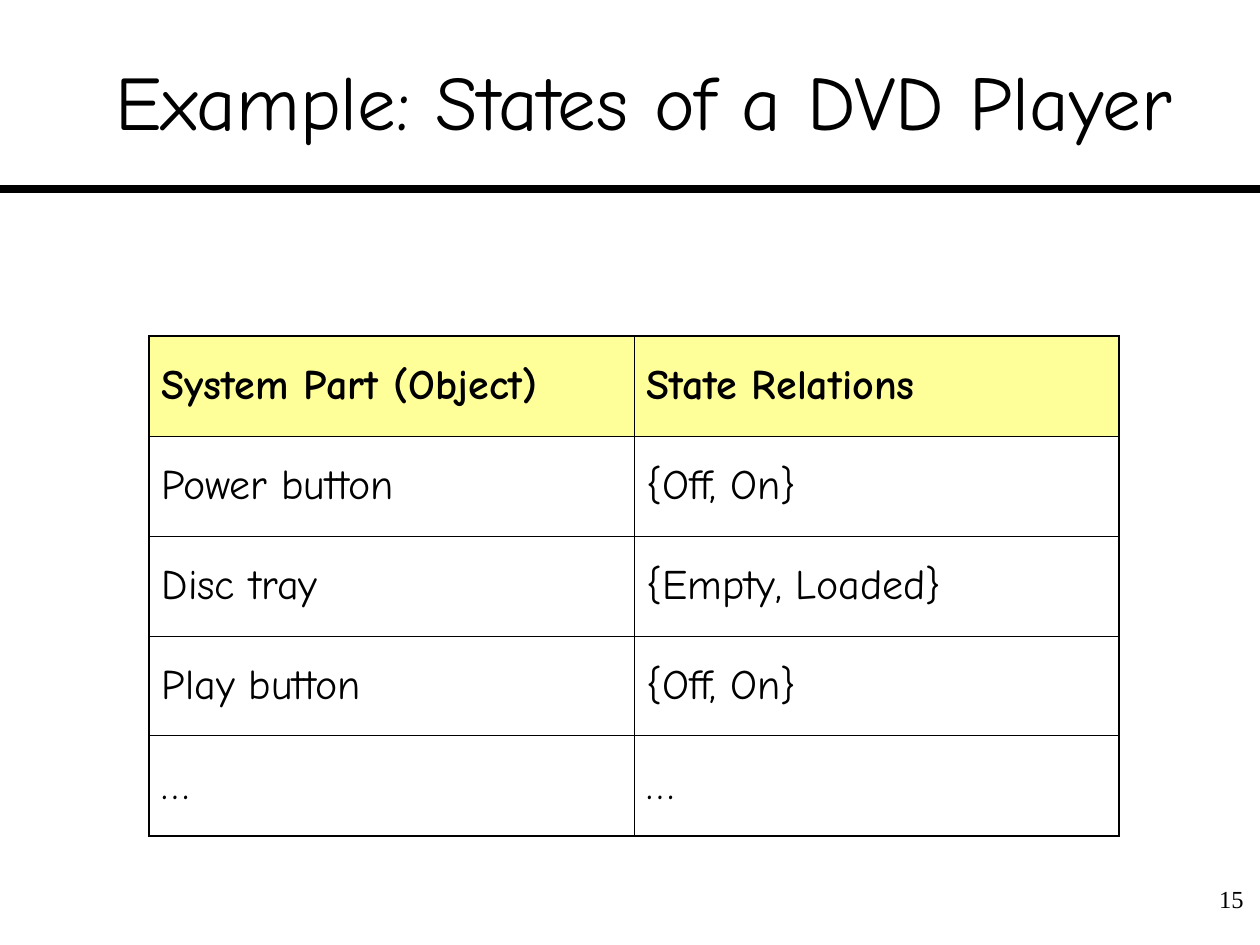
from lxml.etree import SubElement
from pptx import Presentation
from pptx.dml.color import RGBColor
from pptx.enum.shapes import MSO_CONNECTOR
from pptx.enum.text import MSO_ANCHOR, MSO_AUTO_SIZE, PP_ALIGN
from pptx.oxml.ns import qn
from pptx.util import Emu, Pt

PIXELS_PER_INCH = 126
BLACK = RGBColor(0x00, 0x00, 0x00)
HEADER_YELLOW = RGBColor(0xFF, 0xFF, 0x99)
FONT = "Comic Neue"
OUTER_BORDER, INNER_BORDER = Pt(1.08), Pt(0.45)

TITLE_FONT = {"name": FONT, "size": Pt(44), "bold": False}
HEADER_FONT = {"name": FONT, "size": Pt(24), "bold": True}
BODY_FONT = {"name": FONT, "size": Pt(24), "bold": False}
NUMBER_FONT = {"name": "Times New Roman", "size": Pt(14), "bold": False}

STATES = [
    ("System Part (Object)", "State Relations"),
    ("Power button", "{Off, On}"),
    ("Disc tray", "{Empty, Loaded}"),
    ("Play button", "{Off, On}"),
    ("…", "…"),
]


def px(length):
    """Turn pixels into EMU."""
    return Emu(round(length * 914400 / PIXELS_PER_INCH))


def set_attributes(target, values):
    """Set each named attribute of the target."""
    for name, value in values.items():
        setattr(target, name, value)


def write_text(text_frame, text, font, **paragraph_format):
    """Write one formatted paragraph."""
    paragraph = text_frame.paragraphs[0]
    set_attributes(paragraph, paragraph_format)
    run = paragraph.add_run()
    run.text = text
    set_attributes(run.font, font)
    run.font.color.rgb = BLACK


def place(shape, box):
    """Move and size a shape to a pixel box."""
    set_attributes(shape, dict(zip(("left", "top", "width", "height"), map(px, box))))


def add_title(slide, box, text):
    """Place the title in its box."""
    title = slide.shapes.title
    place(title, box)
    set_attributes(title.text_frame, {
        "margin_left": 0, "margin_right": 0, "word_wrap": True,
        "vertical_anchor": MSO_ANCHOR.MIDDLE, "auto_size": MSO_AUTO_SIZE.NONE,
    })
    write_text(title.text_frame, text, TITLE_FONT, alignment=PP_ALIGN.CENTER)


def add_rule(slide, left, top, width):
    """Draw the heavy rule under the title."""
    rule = slide.shapes.add_connector(
        MSO_CONNECTOR.STRAIGHT, px(left), px(top), px(left + width), px(top))
    rule.line.color.rgb = BLACK
    rule.line.width = Pt(4.5)
    SubElement(rule._element.spPr, qn("a:effectLst"))


def add_borders(cell, widths):
    """Draw the left, right, top and bottom borders of a cell."""
    properties = cell._tc.get_or_add_tcPr()
    for side, width in zip("LRTB", widths):
        line = SubElement(properties, qn(f"a:ln{side}"), w=str(width))
        fill = SubElement(line, qn("a:solidFill"))
        SubElement(fill, qn("a:srgbClr"), val=str(BLACK))


def add_state_table(slide, box, rows):
    """Fill the box with an even grid of parts and their states."""
    row_count, column_count = len(rows), len(rows[0])
    table = slide.shapes.add_table(row_count, column_count, *map(px, box)).table
    set_attributes(table, {"first_row": False, "horz_banding": False})
    for column in table.columns:
        column.width = px(box[2] / column_count)
    for row in table.rows:
        row.height = px(box[3] / row_count)
    for row_index, row in enumerate(rows):
        for column_index, text in enumerate(row):
            cell = table.cell(row_index, column_index)
            is_header = row_index == 0
            on_edges = (column_index == 0, column_index == column_count - 1,
                        is_header, row_index == row_count - 1)
            add_borders(cell, [OUTER_BORDER if edge else INNER_BORDER for edge in on_edges])
            cell.vertical_anchor = MSO_ANCHOR.MIDDLE
            if is_header:
                cell.fill.solid()
                cell.fill.fore_color.rgb = HEADER_YELLOW
            else:
                cell.fill.background()
            font = HEADER_FONT if is_header else BODY_FONT
            write_text(cell.text_frame, text, font, space_before=Pt(6))


def add_slide_number(slide, box, number):
    """Place the slide number in its box."""
    text_box = slide.shapes.add_textbox(*map(px, box))
    text_box.text_frame.word_wrap = True
    write_text(text_box.text_frame, number, NUMBER_FONT, alignment=PP_ALIGN.RIGHT)


def main():
    """Build and save the slide."""
    presentation = Presentation()
    presentation.slide_width, presentation.slide_height = px(1260), px(945)
    slide = presentation.slides.add_slide(presentation.slide_layouts[5])
    add_rule(slide, 0, 189, 1260)
    add_slide_number(slide, (1178, 878, 78, 63), "15")
    add_title(slide, (53, 21, 1182, 158), "Example: States of a DVD Player")
    add_state_table(slide, (149, 336, 970, 500), STATES)
    presentation.save("out.pptx")


if __name__ == "__main__":
    main()
